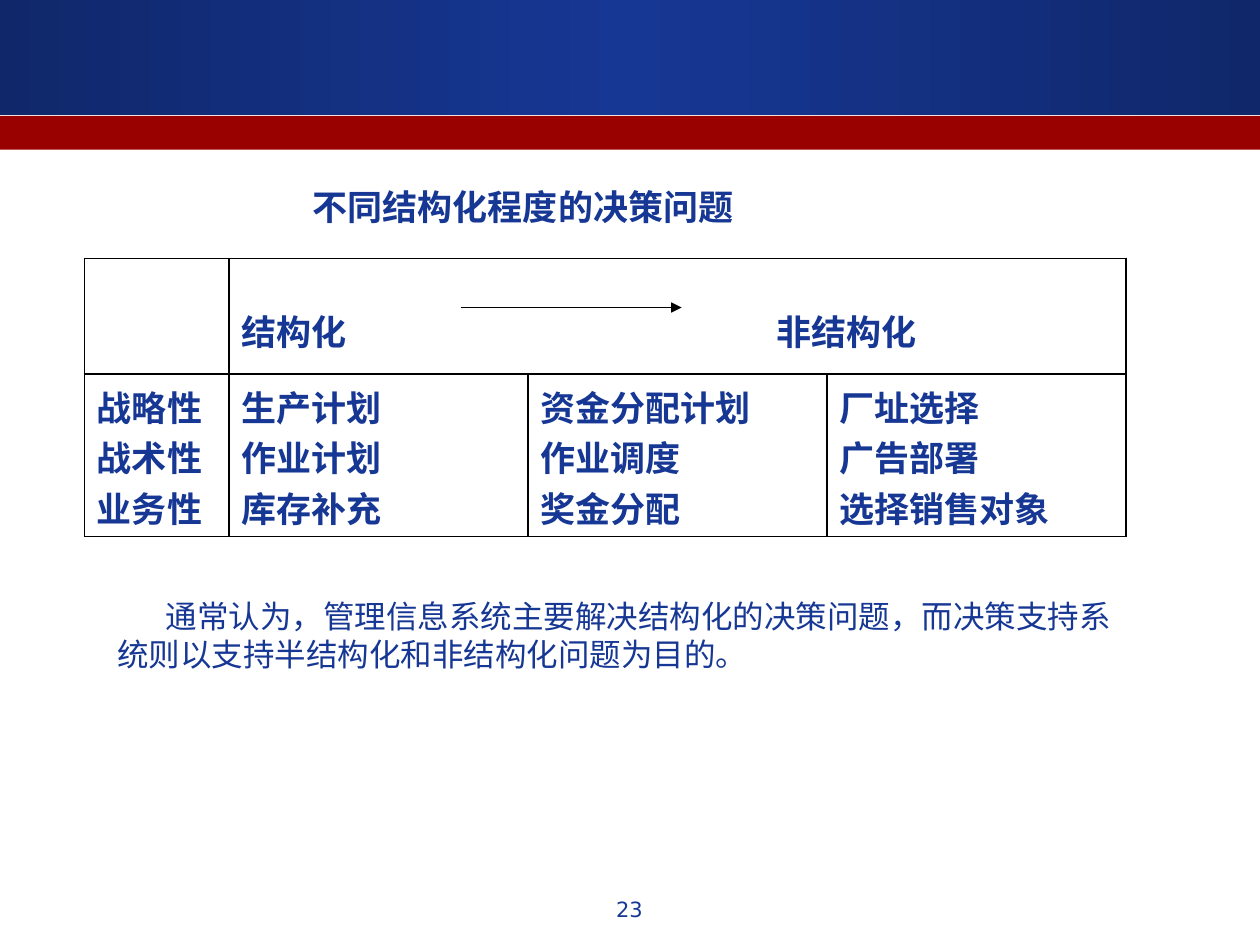
from lxml.etree import SubElement
from pptx import Presentation
from pptx.dml.color import RGBColor
from pptx.enum.shapes import MSO_CONNECTOR, MSO_SHAPE
from pptx.enum.text import PP_ALIGN
from pptx.oxml.ns import qn
from pptx.util import Pt

BLUE = RGBColor(0x16, 0x37, 0x94)
NAVY = RGBColor(0x10, 0x27, 0x6A)
RED = RGBColor(0x99, 0x00, 0x00)
BLACK = RGBColor(0x00, 0x00, 0x00)

COLUMNS = (82.8, 170.8, 170.8, 171)
ROWS = (66.2, 92.8)
DECISIONS = (
    ("战略性", "战术性", "业务性"),
    ("生产计划", "作业计划", "库存补充"),
    ("资金分配计划", "作业调度", "奖金分配"),
    ("厂址选择", "广告部署", "选择销售对象"),
)


def write(tf, *lines, size=18, font="Arial", bold=False, align=None,
          spacing=None, indent=0, tab=None):
    """Fill a text frame, one paragraph a line; indent and tab are in points."""
    tf.word_wrap = True
    for i, line in enumerate(lines):
        p = tf.add_paragraph() if i else tf.paragraphs[0]
        p.alignment = align
        p.line_spacing = spacing
        pPr = p._p.get_or_add_pPr()
        if indent:
            pPr.set("marL", "0")
            pPr.set("indent", str(Pt(indent)))
        if tab:
            tabs = SubElement(pPr, qn("a:tabLst"))
            SubElement(tabs, qn("a:tab"), pos=str(Pt(tab)), algn="l")
        r = p.add_run()
        r.text = line
        r.font.size = Pt(size)
        r.font.name = font
        r.font.bold = bold
        r.font.color.rgb = BLUE


class Deck:
    def __init__(self):
        self.prs = Presentation()
        self.prs.slide_width, self.prs.slide_height = Pt(720), Pt(540)
        self.s = self.prs.slides.add_slide(self.prs.slide_layouts[6])

    def band(self, y, h, color, middle=None):
        """Full-width bar; with a middle colour it shades from edge to centre."""
        sp = self.s.shapes.add_shape(MSO_SHAPE.RECTANGLE, 0, Pt(y), Pt(720), Pt(h))
        sp.shadow.inherit = False
        sp.line.fill.background()
        if middle is None:
            sp.fill.solid()
            sp.fill.fore_color.rgb = color
            return
        sp.fill.gradient()
        sp.fill.gradient_angle = 0
        gsLst = sp._element.spPr.find(qn("a:gradFill")).find(qn("a:gsLst"))
        gsLst.clear()
        for pos, stop in ((0, color), (50, middle), (100, color)):
            gs = SubElement(gsLst, qn("a:gs"), pos=str(pos * 1000))
            SubElement(gs, qn("a:srgbClr"), val=str(stop))

    def text(self, x, y, w, h, line, **style):
        sp = self.s.shapes.add_textbox(Pt(x), Pt(y), Pt(w), Pt(h))
        write(sp.text_frame, line, **style)

    def arrow(self, x1, y1, x2, y2):
        cn = self.s.shapes.add_connector(
            MSO_CONNECTOR.STRAIGHT, Pt(x1), Pt(y1), Pt(x2), Pt(y2))
        cn.line.color.rgb = BLACK
        cn.line.width = Pt(0.75)
        SubElement(cn.line._get_or_add_ln(), qn("a:tailEnd"), type="triangle")
        SubElement(cn._element.spPr, qn("a:effectLst"))

    def table(self, x, y, columns, rows):
        """Unfilled table with thin black borders."""
        table = self.s.shapes.add_table(
            len(rows), len(columns), Pt(x), Pt(y),
            Pt(sum(columns)), Pt(sum(rows))).table
        table.first_row = table.horz_banding = False
        for column, width in zip(table.columns, columns):
            column.width = Pt(width)
        for row, height in zip(table.rows, rows):
            row.height = Pt(height)
        for cell in table.iter_cells():
            tcPr = cell._tc.get_or_add_tcPr()
            for side in ("a:lnL", "a:lnR", "a:lnT", "a:lnB"):
                ln = SubElement(tcPr, qn(side), w=str(Pt(1)))
                fill = SubElement(ln, qn("a:solidFill"))
                SubElement(fill, qn("a:srgbClr"), val=str(BLACK))
            cell.fill.background()
        return table


def main():
    deck = Deck()
    deck.band(0, 65.5, NAVY, middle=BLUE)
    deck.band(66.2, 19.4, RED)
    deck.text(275.8, 509, 167.8, 25.2, "23", size=12, font="DejaVu Sans",
              align=PP_ALIGN.CENTER)

    table = deck.table(48.2, 147.6, COLUMNS, ROWS)
    table.cell(0, 1).merge(table.cell(0, 3))
    style = dict(size=20, font="Times New Roman", bold=True)
    write(table.cell(0, 1).text_frame, "结构化\t非结构化",
          spacing=1.8, tab=305.6, **style)
    for col, lines in enumerate(DECISIONS):
        write(table.cell(1, col).text_frame, *lines, **style)
    deck.arrow(263.5, 175.7, 389.5, 175.7)

    deck.text(31, 102.2, 643.7, 31, "不同结构化程度的决策问题",
              size=20, bold=True, indent=140.6)
    deck.text(59.8, 337.7, 583.9, 51.1,
              "通常认为，管理信息系统主要解决结构化的决策问题，"
              "而决策支持系统则以支持半结构化和非结构化问题为目的。", indent=27.8)
    deck.prs.save("out.pptx")


if __name__ == "__main__":
    main()
